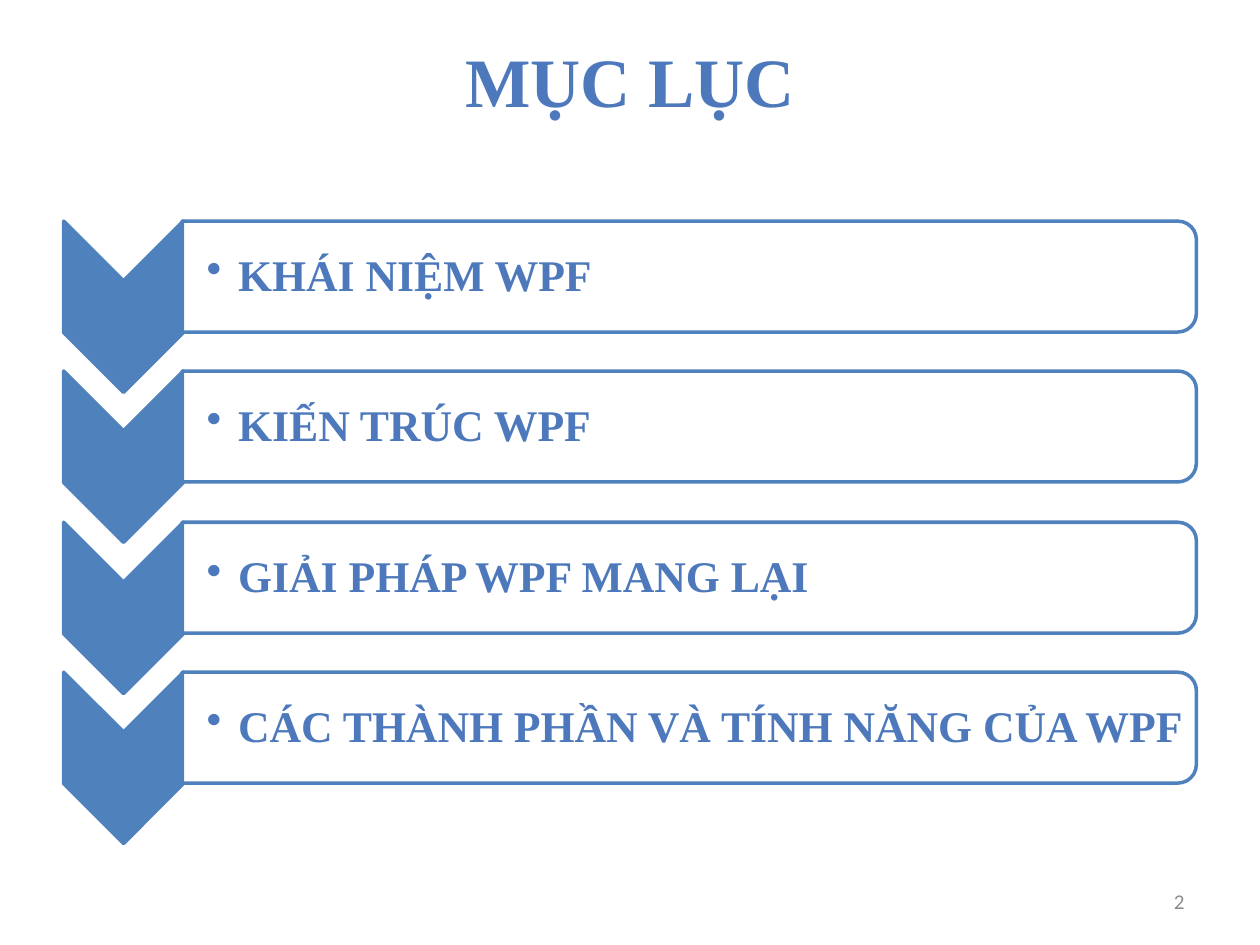
import dataclasses
import pptx
import pptx.dml.color
import pptx.enum.shapes
import pptx.enum.text
import pptx.oxml
import pptx.oxml.ns
import pptx.util

SCALE = 9144
BLUE = "4F81BD"
INK = "4D79BC"
SERIF = "Times New Roman"
KIND = pptx.enum.shapes.MSO_SHAPE
ALIGN = pptx.enum.text.PP_ALIGN
MID = pptx.enum.text.MSO_ANCHOR.MIDDLE
TOP = pptx.enum.text.MSO_ANCHOR.TOP


@dataclasses.dataclass
class Box:
    left: int
    top: int
    width: int
    height: int

    def down(self, step: int) -> "Box":
        return dataclasses.replace(self, top=self.top + step)

    def emu(self) -> list[int]:
        return [px(n) for n in dataclasses.astuple(self)]


def px(count: int) -> int:
    return pptx.util.Emu(count * SCALE)


def color(code: str) -> pptx.dml.color.RGBColor:
    return pptx.dml.color.RGBColor.from_string(code)


def element(tag: str, **attrs: str):
    node = pptx.oxml.parse_xml(f"<a:{tag} {pptx.oxml.ns.nsdecls('a')}/>")
    for key, value in attrs.items():
        node.set(key, value)
    return node


def add_text(slide, box: Box, text: str, *, size: float, ink: str = INK,
             font: str = SERIF, bold: bool = True, align=ALIGN.LEFT,
             anchor=MID, inset: tuple = (10, 5, 10, 5), bullet: bool = False) -> None:
    frame = slide.shapes.add_textbox(*box.emu()).text_frame
    frame.word_wrap = True
    frame.vertical_anchor = anchor
    frame.margin_left, frame.margin_top, frame.margin_right, frame.margin_bottom = map(px, inset)
    para = frame.paragraphs[0]
    para.alignment = align
    run = para.add_run()
    run.text = text
    run.font.size = pptx.util.Pt(size)
    run.font.name = font
    run.font.bold = bold
    run.font.color.rgb = color(ink)
    if bullet:
        para.line_spacing = 0.9
        props = para._p.get_or_add_pPr()
        props.set("marL", str(px(25)))
        props.set("indent", str(px(-25)))
        props.append(element("buChar", char="•"))


def add_turned(slide, kind, box: Box, fill: str, alpha: int = 100) -> None:
    shape = slide.shapes.add_shape(kind, *box.emu())
    shape.rotation = 90
    shape.shadow.inherit = False
    shape.fill.solid()
    shape.fill.fore_color.rgb = color(fill)
    shape.line.color.rgb = color(BLUE)
    shape.line.width = pptx.util.Pt(2)
    if alpha < 100:
        tint = shape._element.spPr.find(pptx.oxml.ns.qn("a:solidFill"))[0]
        tint.append(element("alpha", val=str(alpha * 1000)))


def add_row(slide, step: int, text: str) -> None:
    add_turned(slide, KIND.CHEVRON, Box(30, 196, 136, 95).down(step), BLUE)
    add_turned(slide, KIND.ROUND_2_SAME_RECTANGLE,
               Box(503, -183, 88, 805).down(step), "FFFFFF", alpha=90)
    add_text(slide, Box(145, 180, 801, 80).down(step), text, size=25,
             inset=(19, 2, 2, 2), bullet=True)


def main() -> None:
    deck = pptx.Presentation()
    deck.slide_width, deck.slide_height = px(1000), px(750)
    slide = deck.slides.add_slide(deck.slide_layouts[6])
    add_text(slide, Box(50, 30, 900, 125), "MỤC LỤC", size=39.6,
             align=ALIGN.CENTER, anchor=TOP, inset=(10, 0, 10, 0))
    topics = (
        "KHÁI NIỆM WPF",
        "KIẾN TRÚC WPF",
        "GIẢI PHÁP WPF MANG LẠI",
        "CÁC THÀNH PHẦN VÀ TÍNH NĂNG CỦA WPF",
    )
    for index, topic in enumerate(topics):
        add_row(slide, round(index * 358 / 3), topic)
    add_text(slide, Box(717, 695, 233, 40), "2", size=12, ink="8C8C8C",
             font="Calibri", bold=False, align=ALIGN.RIGHT)
    deck.save("out.pptx")


if __name__ == "__main__":
    main()
